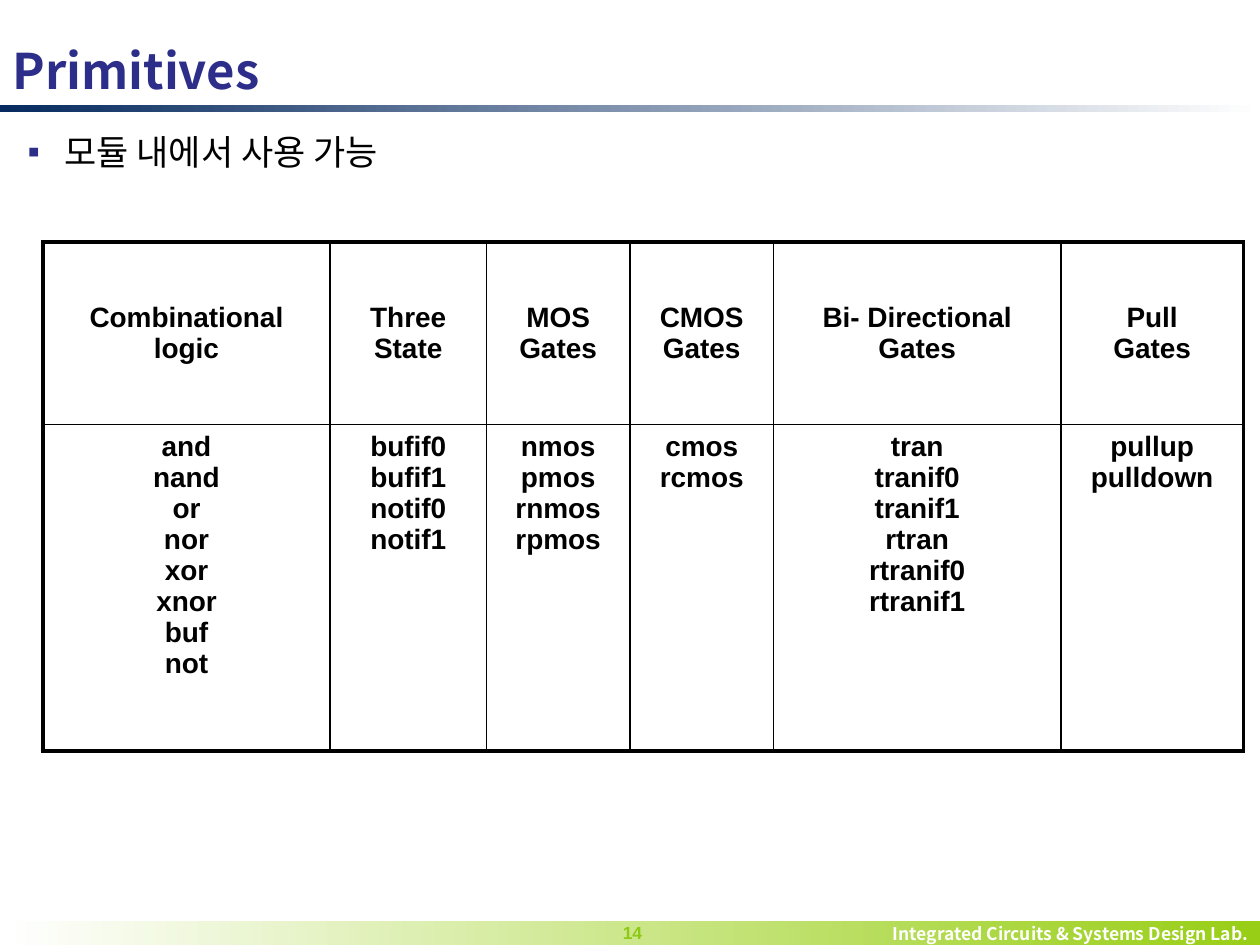
from dataclasses import dataclass

from lxml import etree
from pptx import Presentation
from pptx.dml.color import RGBColor
from pptx.enum import shapes, text
from pptx.oxml import ns
from pptx.util import Inches, Pt

NAVY = RGBColor(0x07, 0x2B, 0x60)
INDIGO = RGBColor(0x2D, 0x2D, 0x8A)
GREEN = RGBColor(0x98, 0xCE, 0x15)
PAGE_GREEN = RGBColor(0x8E, 0xCA, 0x15)
WHITE = RGBColor(0xFF, 0xFF, 0xFF)
BLACK = RGBColor(0, 0, 0)
SANS, KOREAN = "Arial", "Noto Sans CJK KR"
THIN, THICK = 1, 2.25
LEFT, CENTER, RIGHT = text.PP_ALIGN.LEFT, text.PP_ALIGN.CENTER, text.PP_ALIGN.RIGHT
MIDDLE, TOP = text.MSO_ANCHOR.MIDDLE, text.MSO_ANCHOR.TOP


@dataclass
class GateGroup:
    heading: str
    width: float
    names: str


GROUPS = [
    GateGroup("Combinational\nlogic", 2.28, "and nand or nor xor xnor buf not"),
    GateGroup("Three\nState", 1.24, "bufif0 bufif1 notif0 notif1"),
    GateGroup("MOS\nGates", 1.14, "nmos pmos rnmos rpmos"),
    GateGroup("CMOS\nGates", 1.14, "cmos rcmos"),
    GateGroup("Bi- Directional\nGates", 2.28,
              "tran tranif0 tranif1 rtran rtranif0 rtranif1"),
    GateGroup("Pull\nGates", 1.45, "pullup pulldown"),
]
ROW_HEIGHTS = [1.45, 2.59]


def box(left: float, top: float, width: float, height: float) -> list:
    return [Inches(v) for v in (left, top, width, height)]


def place(sp, left: float, top: float, width: float, height: float) -> None:
    sp.left, sp.top, sp.width, sp.height = box(left, top, width, height)


def sub(parent, tag: str, **attrs: str):
    return etree.SubElement(parent, ns.qn(tag), attrs)


def write(tf, content: str, *, size: float, color: RGBColor, font: str = SANS,
          bold: bool = False, align=LEFT) -> None:
    """Write one paragraph for each line of content."""
    for i, line in enumerate(content.split("\n")):
        p = tf.paragraphs[0] if i == 0 else tf.add_paragraph()
        p.alignment = align
        r = p.add_run()
        r.text = line
        r.font.size, r.font.bold, r.font.name = Pt(size), bold, font
        r.font.color.rgb = color
        sub(r.font._element, "a:ea", typeface=KOREAN)


def gradient_bar(s, at: list, start: RGBColor, end: RGBColor):
    sp = s.shapes.add_shape(shapes.MSO_SHAPE.RECTANGLE, *at)
    sp.shadow.inherit = False
    sp.line.fill.background()
    sp.fill.gradient()
    sp.fill.gradient_angle = 0
    for stop, color in zip(sp.fill.gradient_stops, (start, end)):
        stop.color.rgb = color
    return sp


def set_borders(cell, **widths: float) -> None:
    tcPr = cell._tc.get_or_add_tcPr()
    for side, width in widths.items():
        ln = sub(tcPr, f"a:ln{side}", w=str(Pt(width)))
        sub(sub(ln, "a:solidFill"), "a:srgbClr", val=str(BLACK))


def fill_cell(cell, content: str, anchor, **borders: float) -> None:
    write(cell.text_frame, content, size=16, color=BLACK, bold=True, align=CENTER)
    cell.vertical_anchor = anchor
    set_borders(cell, **borders)
    cell.fill.background()


prs = Presentation()
prs.slide_width, prs.slide_height = Inches(10), Inches(7.5)
s = prs.slides.add_slide(prs.slide_layouts[1])

# Title and rule below it
gradient_bar(s, box(0, 0.83, 10, 0.06), NAVY, WHITE)
title = s.shapes.title
place(title, 0, 0.24, 10, 0.63)
tf = title.text_frame
tf.auto_size, tf.vertical_anchor = text.MSO_AUTO_SIZE.NONE, MIDDLE
write(tf, "Primitives", size=28, color=INDIGO, font=KOREAN, bold=True)

# Bullet
body = s.placeholders[1]
place(body, 0.12, 0.94, 9.75, 6.23)
tf = body.text_frame
tf.auto_size = text.MSO_AUTO_SIZE.NONE
write(tf, "모듈 내에서 사용 가능", size=20, color=BLACK)
p = tf.paragraphs[0]
p.line_spacing, p.space_before = 1.14, Pt(4)
pPr = p._p.get_or_add_pPr()
pPr.set("marL", str(Inches(0.29)))
pPr.set("indent", str(Inches(-0.29)))
sub(sub(pPr, "a:buClr"), "a:srgbClr", val=str(INDIGO))
sub(pPr, "a:buFont", typeface=SANS)
sub(pPr, "a:buChar", char="▪")

# Table of primitives
frame = s.shapes.add_table(len(ROW_HEIGHTS), len(GROUPS), *box(
    0.34, 1.92, sum(g.width for g in GROUPS), sum(ROW_HEIGHTS)))
table = frame.table
table.first_row = table.horz_banding = False
for row, height in zip(table.rows, ROW_HEIGHTS):
    row.height = Inches(height)
for i, group in enumerate(GROUPS):
    table.columns[i].width = Inches(group.width)
    sides = {"L": THICK if i == 0 else THIN,
             "R": THICK if i == len(GROUPS) - 1 else THIN}
    fill_cell(table.cell(0, i), group.heading, MIDDLE, **sides, T=THICK, B=THIN)
    fill_cell(table.cell(1, i), group.names.replace(" ", "\n"), TOP,
              **sides, T=THIN, B=THICK)

# Footer and page number
footer = gradient_bar(s, box(0.04, 7.31, 9.96, 0.19), WHITE, GREEN)
footer.text_frame.vertical_anchor = MIDDLE
write(footer.text_frame, "Integrated Circuits & Systems Design Lab.", size=10,
      color=WHITE, font=KOREAN, bold=True, align=RIGHT)
page = s.shapes.add_textbox(*box(4.63, 7.27, 0.78, 0.27))
page.text_frame.word_wrap = True
write(page.text_frame, "14", size=10, color=PAGE_GREEN, bold=True, align=CENTER)

prs.save("out.pptx")
